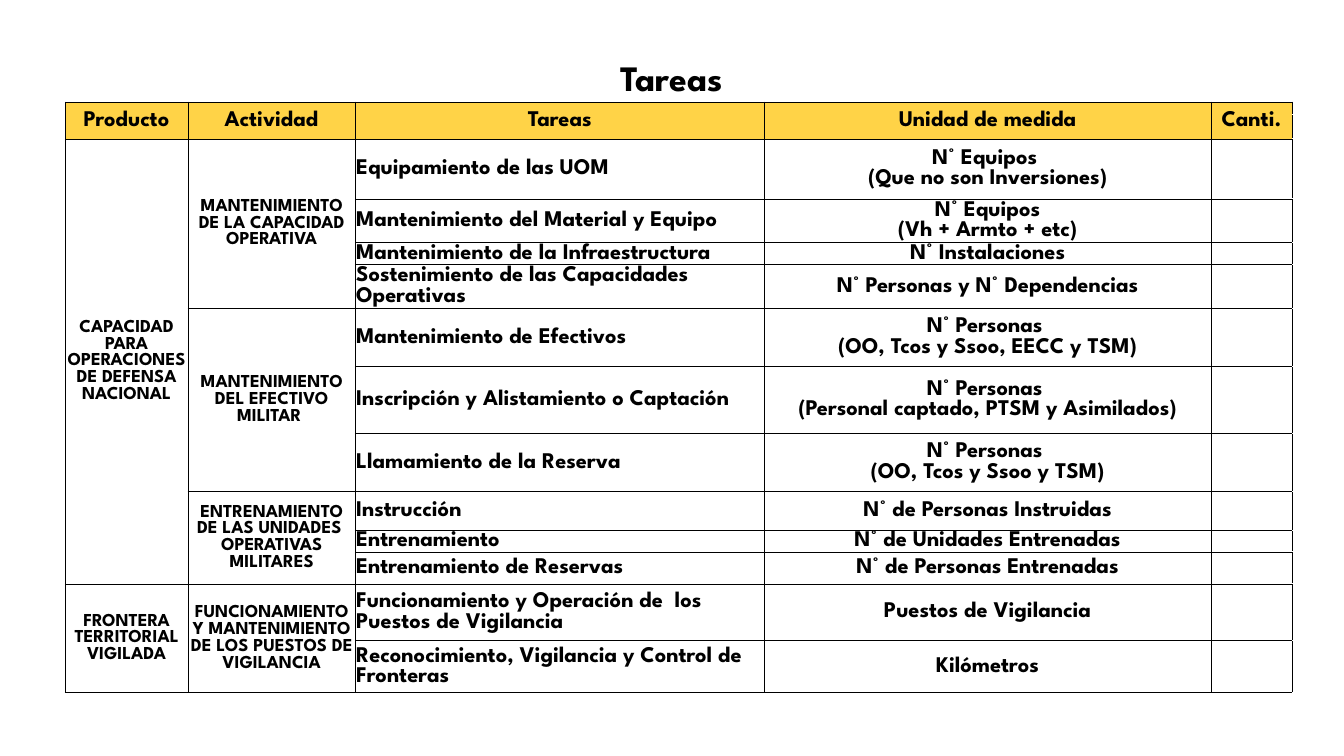
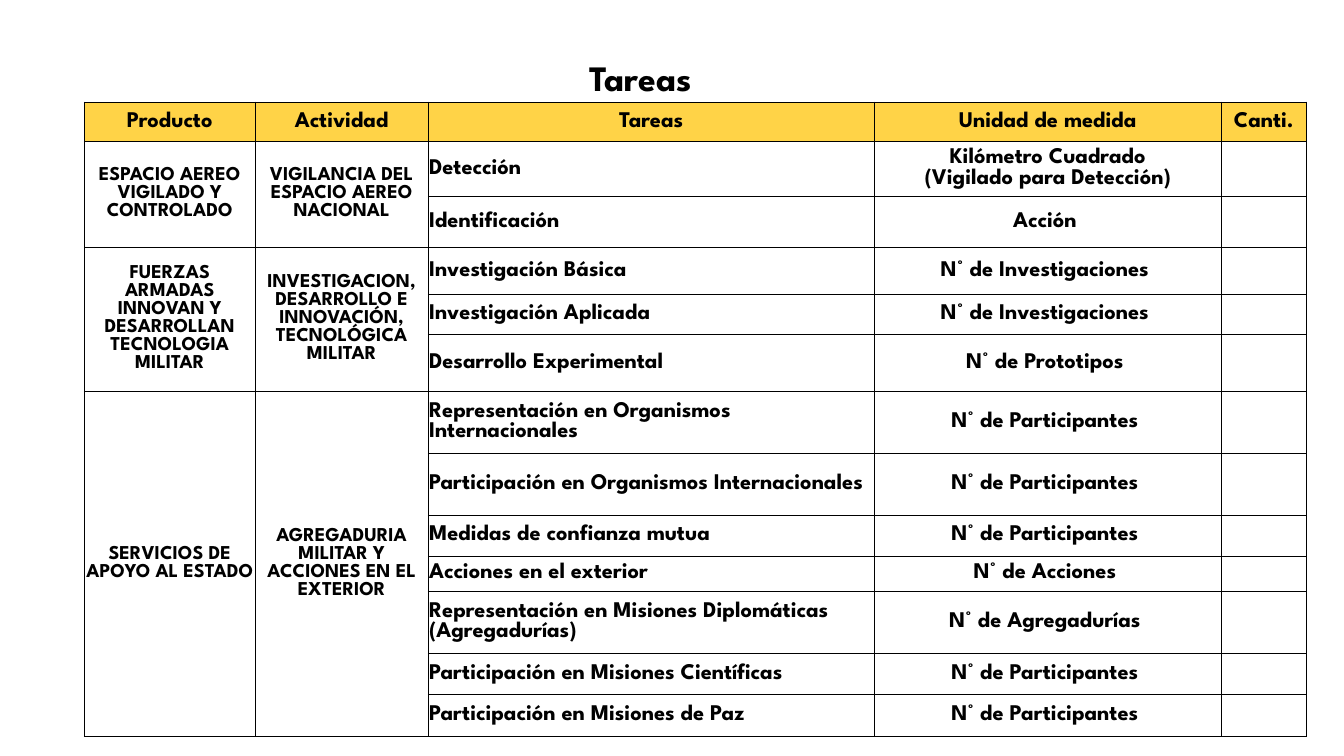
from copy import deepcopy
from dataclasses import dataclass

from lxml.etree import SubElement
from pptx import Presentation
from pptx.dml.color import RGBColor
from pptx.enum.text import MSO_ANCHOR as Anchor, MSO_AUTO_SIZE as AutoSize, PP_ALIGN as Align
from pptx.oxml.ns import qn
from pptx.util import Pt

FONT = "League Spartan"
BLACK, WHITE, GOLD = "000000", "FFFFFF", "FFD347"
HEADINGS = ["Producto", "Actividad", "Tareas", "Unidad de medida", "Canti."]
TABLE_TOP = 72.8
BODY_SIZE = 16
LINE_RATIO = 0.92
ALL_SIDES = ("lnL", "lnR", "lnT", "lnB")


@dataclass
class Task:
    name: str
    unit: str
    height: float


@dataclass
class Activity:
    name: str
    tasks: list[Task]


@dataclass
class Product:
    name: str
    activities: list[Activity]


@dataclass
class TaskSlide:
    title_left: float
    table_left: float
    widths: list[float]
    header_heights: list[float]
    group_size: int
    products: list[Product]


DEFENSE = TaskSlide(426.2, 46.5, [87.8, 119.5, 292.2, 319, 58, 2.9], [8.8, 17.6], 13, [
    Product("CAPACIDAD PARA OPERACIONES DE DEFENSA NACIONAL", [
        Activity("MANTENIMIENTO DE LA CAPACIDAD OPERATIVA", [
            Task("Equipamiento de las UOM", "N° Equipos \n(Que no son Inversiones)", 42.9),
            Task("Mantenimiento del Material y Equipo", "N° Equipos\n(Vh + Armto + etc)", 31.4),
            Task("Mantenimiento de la Infraestructura", "N° Instalaciones", 15.5),
            Task("Sostenimiento de las Capacidades Operativas", "N° Personas y N° Dependencias", 31.4),
        ]),
        Activity("MANTENIMIENTO DEL EFECTIVO MILITAR ", [
            Task("Mantenimiento de Efectivos", "N° Personas \n(OO, Tcos y Ssoo, EECC y TSM)", 41.6),
            Task("Inscripción y Alistamiento o Captación",
                 "N° Personas \n(Personal captado, PTSM y Asimilados)", 47.8),
            Task("Llamamiento de la Reserva", "N° Personas \n(OO, Tcos y Ssoo y TSM)", 41.6),
        ]),
        Activity("ENTRENAMIENTO DE LAS UNIDADES \nOPERATIVAS MILITARES", [
            Task("Instrucción", "N° de Personas Instruidas", 27.9),
            Task("Entrenamiento", "N° de Unidades Entrenadas", 15),
            Task("Entrenamiento de Reservas", "N° de Personas Entrenadas", 22.9),
        ]),
    ]),
    Product("FRONTERA TERRITORIAL VIGILADA", [
        Activity("FUNCIONAMIENTO Y MANTENIMIENTO DE LOS PUESTOS DE VIGILANCIA", [
            Task("Funcionamiento y Operación de  los Puestos de Vigilancia", "Puestos de Vigilancia", 40.6),
            Task("Reconocimiento, Vigilancia y Control de Fronteras", "Kilómetros", 37.2),
        ]),
    ]),
])

SERVICES = TaskSlide(404, 60.2, [122.2, 123.4, 318.8, 247.8, 60.9], [27.9], 14, [
    Product("ESPACIO AEREO VIGILADO Y CONTROLADO", [
        Activity("VIGILANCIA DEL ESPACIO AEREO NACIONAL", [
            Task("Detección", "Kilómetro Cuadrado\n(Vigilado para Detección)", 39.3),
            Task("Identificación", "Acción ", 36.4),
        ]),
    ]),
    Product("FUERZAS ARMADAS INNOVAN Y DESARROLLAN TECNOLOGIA MILITAR", [
        Activity("INVESTIGACION, DESARROLLO E INNOVACIÓN, TECNOLÓGICA MILITAR", [
            Task("Investigación Básica", "N° de Investigaciones ", 33.6),
            Task("Investigación Aplicada", "N° de Investigaciones ", 28.6),
            Task("Desarrollo Experimental", "N° de Prototipos ", 40.7),
        ]),
    ]),
    Product("SERVICIOS DE APOYO AL ESTADO", [
        Activity("AGREGADURIA MILITAR Y ACCIONES EN EL EXTERIOR", [
            Task("Representación en Organismos Internacionales", "N° de Participantes ", 44.3),
            Task("Participación en Organismos Internacionales", "N° de Participantes ", 44.3),
            Task("Medidas de confianza mutua", "N° de Participantes ", 29.3),
            Task("Acciones en el exterior", "N° de Acciones ", 25),
            Task("Representación en Misiones Diplomáticas (Agregadurías)", "N° de Agregadurías ", 44.5),
            Task("Participación en Misiones Científicas", "N° de Participantes ", 29.4),
            Task("Participación en Misiones de Paz", "N° de Participantes ", 29.8),
        ]),
    ]),
])


def color(value: str) -> RGBColor:
    return RGBColor.from_string(value)


def write(paragraph, text: str, size: float, align: Align) -> None:
    paragraph.text = text
    paragraph.alignment = align
    for run in paragraph.runs:
        run.font.name = FONT
        run.font.size = Pt(size)
        run.font.bold = True
        run.font.color.rgb = color(BLACK)
    for line_break in paragraph._p.findall(qn("a:br")):
        line_break.append(deepcopy(paragraph.runs[0]._r.rPr))


def style_cell(cell, fill: str, sides: tuple[str, ...]) -> None:
    cell.vertical_anchor = Anchor.MIDDLE
    cell.margin_left = cell.margin_right = Pt(0.7)
    cell.margin_top = Pt(0.3)
    cell.margin_bottom = Pt(0)
    cell.fill.solid()
    cell.fill.fore_color.rgb = color(fill)
    properties = cell._tc.get_or_add_tcPr()
    for index, side in enumerate(sides):
        border = SubElement(properties, qn(f"a:{side}"), w=str(Pt(0.5)))
        SubElement(SubElement(border, qn("a:solidFill")), qn("a:srgbClr"), val=BLACK)
        properties.insert(index, border)
    SubElement(cell.text_frame.paragraphs[0]._p, qn("a:endParaRPr"), sz="100")


def fill_cell(cell, text: str, size: float = BODY_SIZE, align: Align = Align.CENTER) -> None:
    paragraph = cell.text_frame.paragraphs[0]
    write(paragraph, text, size, align)
    paragraph.line_spacing = Pt(round(size * LINE_RATIO, 1))


def fill_group(table, column: int, first: int, count: int, text: str, size: float) -> None:
    top = table.cell(first, column)
    if count > 1:
        top.merge(table.cell(first + count - 1, column))
    fill_cell(top, text, size)


def add_title(slide, left: float) -> None:
    title = slide.shapes.add_textbox(Pt(left), Pt(27.4), Pt(107.3), Pt(45.4))
    frame = title.text_frame
    frame.word_wrap = False
    frame.auto_size = AutoSize.SHAPE_TO_FIT_TEXT
    heading = frame.paragraphs[0]
    write(heading, "Tareas", 44, Align.CENTER)
    heading.line_spacing = 1.07
    heading.runs[0]._r.get_or_add_rPr().set("baseline", "30000")


def add_task_table(slide, content: TaskSlide) -> None:
    tasks = [task for product in content.products
             for activity in product.activities for task in activity.tasks]
    header_rows = len(content.header_heights)
    heights = content.header_heights + [task.height for task in tasks]
    table = slide.shapes.add_table(
        len(heights), len(content.widths), Pt(content.table_left), Pt(TABLE_TOP),
        Pt(sum(content.widths)), Pt(sum(heights))).table
    table.horz_banding = False
    table.first_row = False
    for column, width in zip(table.columns, content.widths):
        column.width = Pt(width)
    for index, height in enumerate(heights):
        table.rows[index].height = Pt(height)
        for column, cell in enumerate(table.rows[index].cells):
            in_grid = column < len(HEADINGS)
            fill = GOLD if in_grid and index < header_rows else WHITE
            style_cell(cell, fill, ALL_SIDES if in_grid else ("lnL",))
    for column, heading in enumerate(HEADINGS):
        fill_group(table, column, 0, header_rows, heading, BODY_SIZE)
    for row, task in enumerate(tasks, header_rows):
        fill_cell(table.cell(row, 2), task.name, align=Align.LEFT)
        fill_cell(table.cell(row, 3), task.unit)
    row = header_rows
    for product in content.products:
        count = sum(len(activity.tasks) for activity in product.activities)
        fill_group(table, 0, row, count, product.name, content.group_size)
        for activity in product.activities:
            fill_group(table, 1, row, len(activity.tasks), activity.name, content.group_size)
            row += len(activity.tasks)


def main() -> None:
    deck = Presentation()
    deck.slide_width, deck.slide_height = Pt(960), Pt(540)
    for content in (DEFENSE, SERVICES):
        slide = deck.slides.add_slide(deck.slide_layouts[6])
        add_title(slide, content.title_left)
        add_task_table(slide, content)
    deck.save("out.pptx")


if __name__ == "__main__":
    main()
